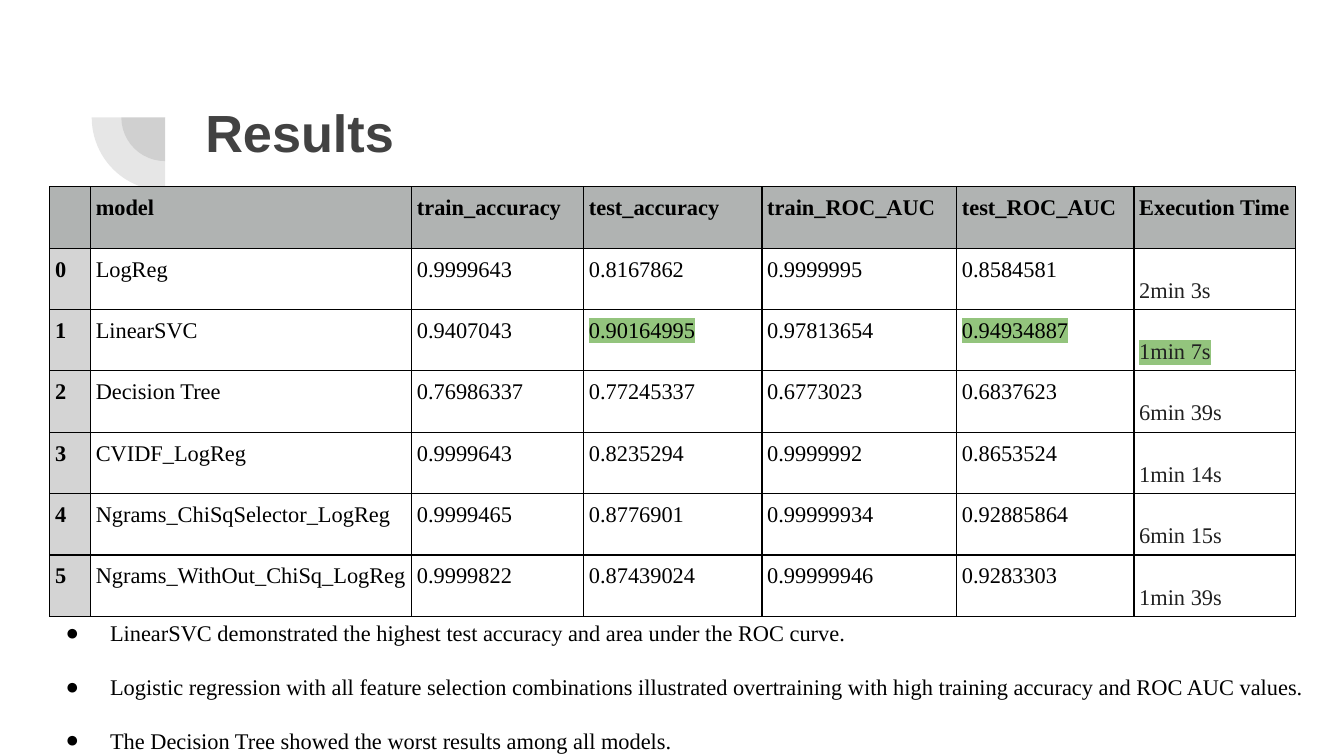
import pptx
import pptx.util
import pptx.dml.color
import pptx.enum.shapes
import pptx.enum.text
import pptx.oxml.ns
import lxml.etree

Cm = pptx.util.Cm
Pt = pptx.util.Pt
RGBColor = pptx.dml.color.RGBColor
qn = pptx.oxml.ns.qn
SubElement = lxml.etree.SubElement

BLACK = RGBColor(0x00, 0x00, 0x00)
CHARCOAL = RGBColor(0x42, 0x42, 0x42)
TIME_TEXT = RGBColor(0x21, 0x21, 0x21)
HEADER_FILL = RGBColor(0xB0, 0xB3, 0xB2)
INDEX_FILL = RGBColor(0xD4, 0xD4, 0xD4)
GREEN = RGBColor(0x93, 0xC4, 0x7D)
SERIF = "Times New Roman"

TITLE = "Results"
HEADER = ["", "model", "train_accuracy", "test_accuracy", "train_ROC_AUC",
          "test_ROC_AUC", "Execution Time"]
RESULTS = [
    ["0", "LogReg", "0.9999643", "0.8167862", "0.9999995", "0.8584581", "2min 3s"],
    ["1", "LinearSVC", "0.9407043", "0.90164995", "0.97813654", "0.94934887", "1min 7s"],
    ["2", "Decision Tree", "0.76986337", "0.77245337", "0.6773023", "0.6837623", "6min 39s"],
    ["3", "CVIDF_LogReg", "0.9999643", "0.8235294", "0.9999992", "0.8653524", "1min 14s"],
    ["4", "Ngrams_ChiSqSelector_LogReg", "0.9999465", "0.8776901", "0.99999934",
     "0.92885864", "6min 15s"],
    ["5", "Ngrams_WithOut_ChiSq_LogReg", "0.9999822", "0.87439024", "0.99999946",
     "0.9283303", "1min 39s"],
]
BEST = {"0.90164995", "0.94934887", "1min 7s"}
FINDINGS = [
    "LinearSVC demonstrated the highest test accuracy and area under the ROC curve.",
    "Logistic regression with all feature selection combinations illustrated "
    "overtraining with high training accuracy and ROC AUC values.",
    "The Decision Tree showed the worst results among all models.",
]
COL_WIDTHS = [0.77, 6.07, 3.25, 3.37, 3.68, 3.35, 3.06]
ROW_HEIGHT = 1.16
TIME_COL = len(HEADER) - 1
PIE_CENTER = (3.12, 2.22)
PIE_SIZES = [1.65, 2.77]


def add_run(p, text, size, font, color, bold=False, highlight=None):
    r = p.add_run()
    r.text = text
    r.font.size = Pt(size)
    r.font.bold = bold
    r.font.color.rgb = color
    if highlight is not None:
        hl = SubElement(r.font._element, qn("a:highlight"))
        SubElement(hl, qn("a:srgbClr"), val=str(highlight))
    r.font.name = font


def place(sp, left, top, width, height):
    sp.left, sp.top, sp.width, sp.height = Cm(left), Cm(top), Cm(width), Cm(height)
    tf = sp.text_frame
    tf.word_wrap = True
    tf.auto_size = pptx.enum.text.MSO_AUTO_SIZE.NONE
    tf.vertical_anchor = pptx.enum.text.MSO_ANCHOR.TOP
    tf.margin_left = tf.margin_right = tf.margin_top = tf.margin_bottom = Cm(0.25)
    return tf


def add_pie(s, size):
    x, y = PIE_CENTER
    sp = s.shapes.add_shape(pptx.enum.shapes.MSO_SHAPE.PIE, Cm(x - size / 2),
                            Cm(y - size / 2), Cm(size), Cm(size))
    sp.adjustments[0], sp.adjustments[1] = 107.93, 162
    sp.rotation = 270
    sp.shadow.inherit = False
    sp.line.fill.background()
    sp.fill.solid()
    sp.fill.fore_color.rgb = CHARCOAL
    clr = sp._element.spPr.find(qn("a:solidFill")).find(qn("a:srgbClr"))
    SubElement(clr, qn("a:alpha"), val="13000")


def add_borders(cell):
    tcPr = cell._tc.get_or_add_tcPr()
    for side in "LRTB":
        ln = SubElement(tcPr, qn("a:ln" + side), w=str(Pt(0.75)))
        fill = SubElement(ln, qn("a:solidFill"))
        SubElement(fill, qn("a:srgbClr"), val=str(BLACK))


def fill_cell(cell, text, row, col):
    cell.margin_left = cell.margin_right = cell.margin_top = cell.margin_bottom = Cm(0.1)
    add_borders(cell)
    if row == 0 or col == 0:
        cell.fill.solid()
        cell.fill.fore_color.rgb = HEADER_FILL if row == 0 else INDEX_FILL
    else:
        cell.fill.background()
    is_time = row > 0 and col == TIME_COL
    p = cell.text_frame.paragraphs[0]
    p.line_spacing = 2.0 if is_time else 1.15
    if text:
        add_run(p, text, 12, SERIF, TIME_TEXT if is_time else BLACK,
                row == 0 or col == 0, GREEN if text in BEST else None)


def add_results(s):
    rows = [HEADER] + RESULTS
    table = s.shapes.add_table(len(rows), len(HEADER), Cm(0.94), Cm(3.53),
                               Cm(sum(COL_WIDTHS)), Cm(ROW_HEIGHT * len(rows))).table
    table.first_row = table.horz_banding = False
    for column, width in zip(table.columns, COL_WIDTHS):
        column.width = Cm(width)
    for i, values in enumerate(rows):
        table.rows[i].height = Cm(ROW_HEIGHT)
        for j, text in enumerate(values):
            fill_cell(table.cell(i, j), text, i, j)


def add_findings(tf):
    for i, text in enumerate(FINDINGS):
        p = tf.paragraphs[0] if i == 0 else tf.add_paragraph()
        p.line_spacing = 2.0
        p.space_before = p.space_after = Pt(0)
        pPr = p._p.get_or_add_pPr()
        pPr.set("marL", str(Cm(1.27)))
        pPr.set("indent", str(-Cm(0.84)))
        clr = SubElement(pPr, qn("a:buClr"))
        SubElement(clr, qn("a:srgbClr"), val=str(BLACK))
        SubElement(pPr, qn("a:buFont"), typeface=SERIF)
        SubElement(pPr, qn("a:buChar"), char="●")
        add_run(p, text, 12, SERIF, BLACK)


def main():
    prs = pptx.Presentation()
    prs.slide_width, prs.slide_height = Cm(25.4), Cm(14.29)
    s = prs.slides.add_slide(prs.slide_layouts[1])
    for size in PIE_SIZES:
        add_pie(s, size)
    p = place(s.shapes.title, 3.63, 1.65, 19.53, 2.77).paragraphs[0]
    p.alignment = pptx.enum.text.PP_ALIGN.LEFT
    add_run(p, TITLE, 28, "Arial", CHARCOAL, True)
    add_results(s)
    add_findings(place(s.placeholders[1], 0.56, 10.95, 24.56, 3.07))
    prs.save("out.pptx")


if __name__ == "__main__":
    main()
